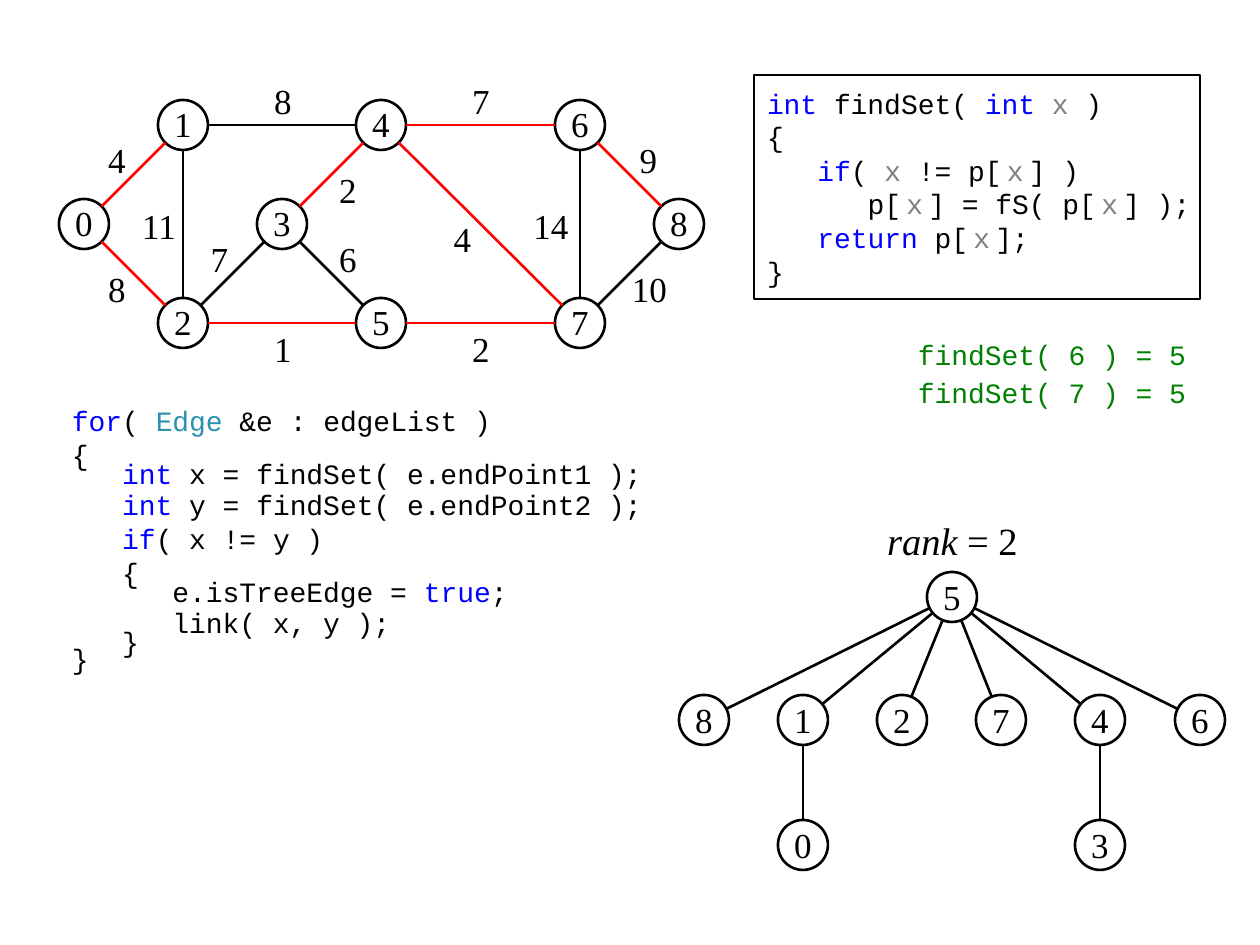
from dataclasses import dataclass
from math import hypot
from typing import NamedTuple

from lxml.etree import SubElement
from pptx import Presentation
from pptx.dml.color import RGBColor
from pptx.enum.shapes import MSO_CONNECTOR as Connector, MSO_SHAPE as Preset
from pptx.enum.text import MSO_ANCHOR as Anchor, PP_ALIGN as Align
from pptx.oxml.ns import qn
from pptx.util import Emu, Pt

EMU_PER_PX = 914400 / 126
RADIUS = 25
MONO, SERIF = "Courier New", "Times New Roman"
COLORS = {"ink": "000000", "keyword": "0000FF", "type": "2B91AF", "param": "808080",
          "result": "008000", "tree": "FF0000", "paper": "FFFFFF"}
TOKENS = {"int": "keyword", "for": "keyword", "if": "keyword", "return": "keyword",
          "true": "keyword", "Edge": "type", "x": "param"}


class Point(NamedTuple):
    x: int
    y: int


class Box(NamedTuple):
    left: int
    top: int
    width: int
    height: int


class Insets(NamedTuple):
    left: int = 13
    top: int = 6
    right: int = 13
    bottom: int = 6


@dataclass
class Style:
    font: str = SERIF
    size: int = 20
    color: str = "ink"
    align: Align = Align.CENTER
    anchor: Anchor = Anchor.MIDDLE
    space_before: float = 0
    wrap: bool = False


class Edge(NamedTuple):
    start: str
    end: str
    color: str


class Weight(NamedTuple):
    text: str
    left: int
    top: int
    size: int
    insets: Insets


def px(length: float) -> Emu:
    return Emu(round(length * EMU_PER_PX))


def color(key: str) -> RGBColor:
    return RGBColor.from_string(COLORS[key])


def column(left: int, index: int) -> int:
    return left + 496 * index // 5


def write(frame, lines: list[str], style: Style, insets: Insets = Insets(),
          tight: tuple[int, ...] = ()) -> None:
    frame.word_wrap = style.wrap
    frame.vertical_anchor = style.anchor
    frame.margin_left, frame.margin_top, frame.margin_right, frame.margin_bottom = map(px, insets)
    for number, line in enumerate(lines):
        paragraph = frame.add_paragraph() if number else frame.paragraphs[0]
        paragraph.alignment = style.align
        if number and style.space_before:
            paragraph.space_before = Pt(style.space_before)
        if number in tight:
            paragraph.line_spacing = 0.5
        previous = ""
        for piece in line.split("|"):
            run = paragraph.add_run()
            run.text = piece
            run.font.name, run.font.size = style.font, Pt(style.size)
            run.font.color.rgb = color(TOKENS.get(piece.strip(), style.color))
            if "[" in (piece, previous):
                run.font._element.set("spc", "300")
            previous = piece


def add_text(slide, box: Box, lines: list[str], style: Style, insets: Insets = Insets(),
             tight: tuple[int, ...] = ()):
    frame = slide.shapes.add_textbox(*map(px, box)).text_frame
    write(frame, lines, style, insets, tight)
    return frame


def add_outline(slide, preset: Preset, box: Box, width: float, filled: bool = False):
    outline = slide.shapes.add_shape(preset, *map(px, box))
    outline.shadow.inherit = False
    outline.line.color.rgb = color("ink")
    outline.line.width = Pt(width)
    if filled:
        outline.fill.solid()
        outline.fill.fore_color.rgb = color("paper")
    else:
        outline.fill.background()
    return outline.text_frame


def add_node(slide, name: str, center: Point, insets: Insets, filled: bool = False) -> None:
    box = Box(center.x - RADIUS, center.y - RADIUS, 2 * RADIUS, 2 * RADIUS)
    write(add_outline(slide, Preset.OVAL, box, 1.5, filled), [name], Style(), insets)


def add_edge(slide, start: Point, end: Point, key: str = "ink") -> None:
    length = hypot(end.x - start.x, end.y - start.y)
    dx, dy = (RADIUS * (b - a) / length for a, b in zip(start, end))
    ends = (start.x + dx, start.y + dy, end.x - dx, end.y - dy)
    edge = slide.shapes.add_connector(Connector.STRAIGHT, *map(px, ends))
    edge.line.color.rgb = color(key)
    edge.line.width = Pt(1.5)
    SubElement(edge._element.spPr, qn("a:effectLst"))


GRAPH = {name: Point(column(84, col), 125 + 99 * row) for name, col, row in [
    ("0", 0, 1), ("1", 1, 0), ("2", 1, 2), ("4", 3, 0), ("5", 3, 2),
    ("6", 5, 0), ("7", 5, 2), ("8", 6, 1), ("3", 2, 1)]}
EDGES = [Edge(*pair, "tree") for pair in ("10", "20", "34", "86", "74", "25", "57", "46")]
EDGES += [Edge(*pair, "ink") for pair in ("23", "53", "87", "21", "41", "76")]
FLUSH = Insets(0, 0, 0, 0)
WEIGHTS = [
    Weight("6", 307, 224, 74, Insets(13, 0, 5, 5)),
    Weight("4", 84, 125, 74, Insets(5, 0, 13, 5)),
    Weight("10", 605, 249, 74, Insets(15, 5, 0, 0)),
    Weight("9", 605, 125, 74, Insets(13, 0, 0, 5)),
    Weight("8", 84, 249, 74, Insets(5, 5, 13, 0)),
    Weight("7", 184, 224, 74, Insets(10, 0, 13, 5)),
    Weight("2", 307, 150, 74, Insets(13, 5, 5, 0)),
    Weight("8", 258, 76, 50, FLUSH),
    Weight("2", 456, 324, 50, FLUSH),
    Weight("7", 456, 76, 50, FLUSH),
    Weight("11", 134, 201, 50, FLUSH),
    Weight("4", 432, 201, 74, Insets(0, 0, 13, 0)),
    Weight("1", 258, 324, 50, FLUSH),
    Weight("14", 530, 201, 50, Insets(0, 0, 8, 0)),
]
ROOT = Point(952, 597)
CHILDREN = {name: Point(column(704, i), 720) for i, name in enumerate("812746")}
LEAVES = {leaf: Point(CHILDREN[parent].x, 845) for leaf, parent in ("01", "34")}
LOOP = [
    "for|( |Edge| &e : edgeList )",
    "{",
    "   |int| x = findSet( e.endPoint1 );",
    "   |int| y = findSet( e.endPoint2 );",
    "   |if|( x != y )",
    "   {",
    "      e.isTreeEdge = |true|;",
    "      link( x, y );",
    "   }",
    "}",
]
FIND_SET = [
    "int |findSet( |int |x| )",
    "{",
    "   |if|( |x| != p|[|x|] )",
    "      p|[|x|] = fS( p|[|x|] );",
    "   |return| p|[|x|];",
    "}",
]


def main() -> None:
    deck = Presentation()
    deck.slide_width, deck.slide_height = px(1260), px(945)
    slide = deck.slides.add_slide(deck.slide_layouts[6])

    add_text(slide, Box(59, 398, 620, 323), LOOP,
             Style(MONO, 16, align=Align.LEFT, anchor=Anchor.TOP, wrap=True), tight=(2, 6, 8, 9))
    add_text(slide, Box(903, 324, 298, 99), ["findSet( 6 ) = 5", "findSet( 7 ) = 5"],
             Style(MONO, 16, "result", space_before=2.4))
    write(add_outline(slide, Preset.RECTANGLE, Box(754, 75, 446, 224), 1), FIND_SET,
          Style(MONO, 16, align=Align.LEFT))

    for weight in WEIGHTS:
        add_text(slide, Box(weight.left, weight.top, weight.size, weight.size),
                 [weight.text], Style(), weight.insets)
    for name, center in GRAPH.items():
        add_node(slide, name, center, Insets(13, 0, 13, 3))
    for edge in EDGES:
        add_edge(slide, GRAPH[edge.start], GRAPH[edge.end], edge.color)

    rank = add_text(slide, Box(878, 522, 149, 49), ["rank |= 2"], Style(size=22),
                    Insets(2, 0, 2, 13))
    rank.paragraphs[0].runs[0].font.italic = True
    for child in CHILDREN.values():
        add_edge(slide, ROOT, child)
    for leaf in LEAVES.values():
        add_edge(slide, leaf, Point(leaf.x, 720))
    for name, center in {"5": ROOT, **CHILDREN, **LEAVES}.items():
        add_node(slide, name, center, Insets(13, 5, 13, 5), filled=True)

    deck.save("out.pptx")


if __name__ == "__main__":
    main()
